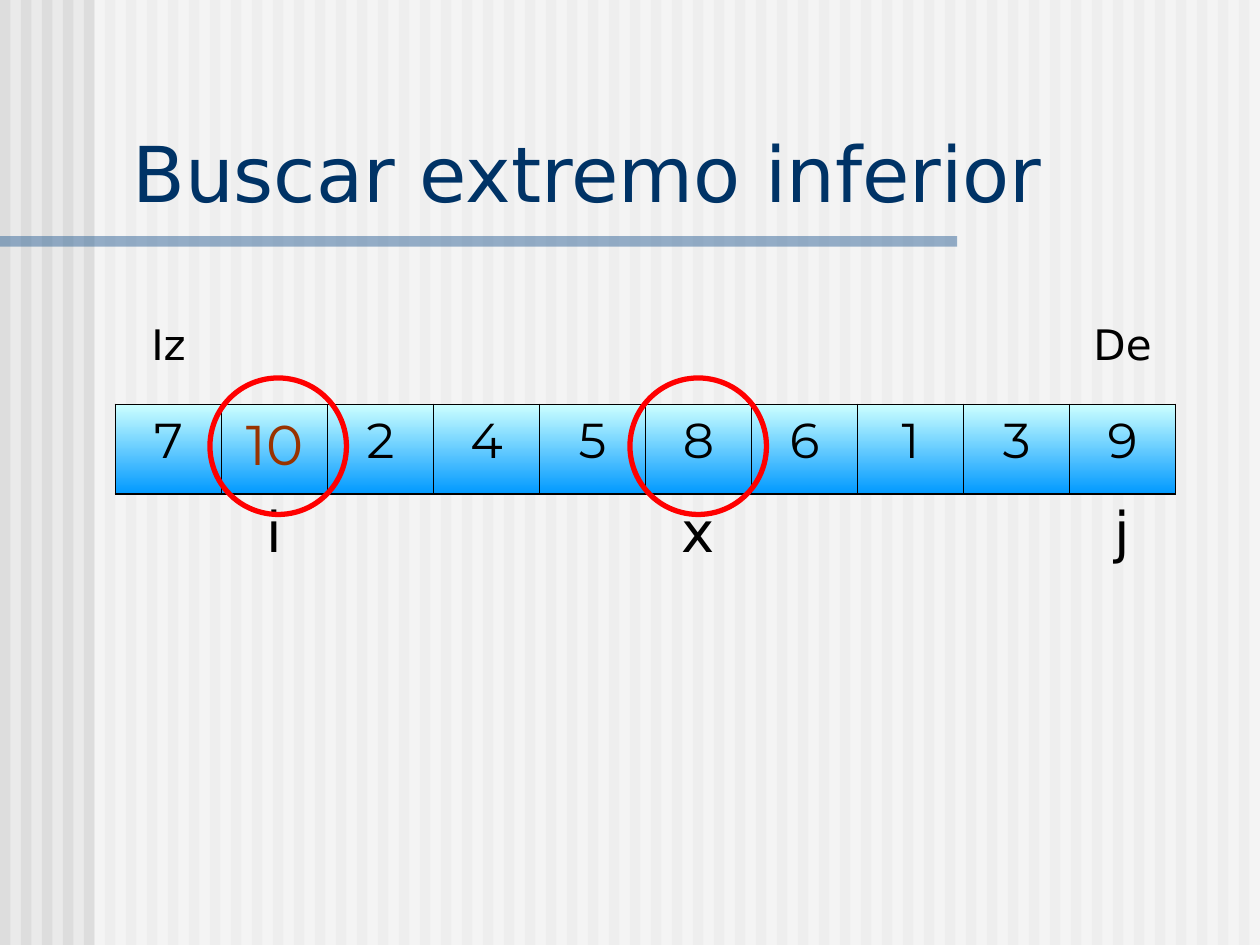
from lxml import etree
from pptx import Presentation
from pptx.dml.color import RGBColor
from pptx.enum.shapes import MSO_SHAPE
from pptx.enum.text import MSO_ANCHOR, MSO_AUTO_SIZE, PP_ALIGN
from pptx.oxml.ns import qn
from pptx.util import Pt

RECT, OVAL = MSO_SHAPE.RECTANGLE, MSO_SHAPE.OVAL
BOTTOM, FIXED = MSO_ANCHOR.BOTTOM, MSO_AUTO_SIZE.NONE
LEFT, CENTER = PP_ALIGN.LEFT, PP_ALIGN.CENTER

PAPER = RGBColor(0xEA, 0xEA, 0xEA)
GRAY = RGBColor(0xDD, 0xDD, 0xDD)
WHITE = RGBColor(0xFF, 0xFF, 0xFF)
BLACK = RGBColor(0, 0, 0)
STEEL = RGBColor(0x33, 0x66, 0x99)
NAVY = RGBColor(0x00, 0x33, 0x66)
RED = RGBColor(0xFF, 0, 0)
BROWN = RGBColor(0x99, 0x33, 0)
PALE = RGBColor(0xCC, 0xFF, 0xFF)
BLUE = RGBColor(0x00, 0x99, 0xFF)

SANS, MONT = "DejaVu Sans", "Montserrat"
THICK, THIN = 1.08, 0.45
WIDE, HIGH = 720, 540


class Deck:
    """Holds the slide and draws its elements, all lengths in points."""

    def __init__(self, prs):
        """Add a title-only slide with a plain background."""
        self.slide = prs.slides.add_slide(prs.slide_layouts[5])
        self.shapes = self.slide.shapes
        fill = self.slide.background.fill
        fill.solid()
        fill.fore_color.rgb = PAPER

    def shape(self, kind, x, y, w, h):
        """Add a preset shape without shadow."""
        shape = self.shapes.add_shape(kind, Pt(x), Pt(y), Pt(w), Pt(h))
        shape.shadow.inherit = False
        return shape

    def block(self, x, y, w, h, color, alpha=100):
        """Draw a filled rectangle, see-through if alpha is below 100."""
        block = self.shape(RECT, x, y, w, h)
        block.fill.solid()
        block.fill.fore_color.rgb = color
        block.line.fill.background()
        if alpha < 100:
            tint = block.element.spPr.find(".//" + qn("a:srgbClr"))
            etree.SubElement(tint, qn("a:alpha"), val=str(alpha * 1000))

    def ring(self, x, y, size):
        """Draw a red circle outline."""
        ring = self.shape(OVAL, x, y, size, size)
        ring.fill.background()
        ring.line.color.rgb = RED
        ring.line.width = Pt(3)

    def text(self, frame, text, size, font, color, align):
        """Write one styled paragraph and return it."""
        frame.text = text
        para = frame.paragraphs[0]
        para.alignment = align
        for run in para.runs:
            run.font.size = Pt(size)
            run.font.name = font
            run.font.color.rgb = color
        return para

    def title(self, text, x, y, w, h):
        """Place the title in front of all shapes drawn so far."""
        title = self.shapes.title
        title.left, title.top = Pt(x), Pt(y)
        title.width, title.height = Pt(w), Pt(h)
        frame = title.text_frame
        frame.word_wrap = True
        frame.auto_size = FIXED
        frame.vertical_anchor = BOTTOM
        self.text(frame, text, 44, SANS, NAVY, LEFT)
        title.element.getparent().append(title.element)

    def edges(self, cell, widths):
        """Set left, right, top and bottom borders; zero hides one."""
        props = cell._tc.get_or_add_tcPr()
        for spot, (side, width) in enumerate(zip("LRTB", widths)):
            line = etree.Element(qn("a:ln" + side), w=str(Pt(width)))
            if width:
                fill = etree.SubElement(line, qn("a:solidFill"))
                etree.SubElement(fill, qn("a:srgbClr"), val=str(BLACK))
            else:
                etree.SubElement(line, qn("a:noFill"))
            props.insert(spot, line)

    def cell(self, cell, text, size, font, color, widths, shade):
        """Fill one table cell with text, shade and borders."""
        if text:
            para = self.text(cell.text_frame, text, size, font, color, CENTER)
            para.space_before = Pt(size // 4)
        if shade:
            cell.fill.gradient()
            cell.fill.gradient_angle = 270
            for stop, tone in zip(cell.fill.gradient_stops, (PALE, BLUE)):
                stop.color.rgb = tone
        else:
            cell.fill.background()
        self.edges(cell, widths)

    def array(self, values, heads, marks, found, x, y, w, h):
        """Draw the array as a table with labels above and below."""
        count = len(values)
        frame = self.shapes.add_table(3, count, Pt(x), Pt(y),
                                      Pt(w * count), Pt(h * 3))
        table = frame.table
        table.first_row = table.horz_banding = False
        for row in table.rows:
            row.height = Pt(h)
        for col, value in enumerate(values):
            table.columns[col].width = Pt(w)
            left = THIN if col else THICK
            right = THIN if col < count - 1 else THICK
            size, color = (32, BROWN) if col == found else (28, BLACK)
            self.cell(table.cell(0, col), heads.get(col), 24, SANS, BLACK,
                      (0, 0, 0, THICK), False)
            self.cell(table.cell(1, col), str(value), size, MONT, color,
                      (left, right, THICK, THICK), True)
            self.cell(table.cell(2, col), marks.get(col), 32, SANS, BLACK,
                      (0, 0, THICK, 0), False)


def main():
    """Build and save the slide."""
    prs = Presentation()
    prs.slide_width, prs.slide_height = Pt(WIDE), Pt(HIGH)
    deck = Deck(prs)
    for x in range(0, WIDE, 12):
        deck.block(x, 0, 6, HIGH, GRAY)
    deck.block(54, 0, WIDE - 54, HIGH, WHITE, 50)
    deck.block(0, 135, 547, 6, STEEL, 50)
    deck.array([7, 10, 2, 4, 5, 8, 6, 1, 3, 9], {0: "Iz", 9: "De"},
               {1: "i", 5: "x", 9: "j"}, 1, 66, 180, 60.6, 51.2)
    deck.title("Buscar extremo inferior", 68.4, 67.5, 643, 60.5)
    for x in (360, 120):
        deck.ring(x, 216, 78)
    prs.save("out.pptx")


main()
